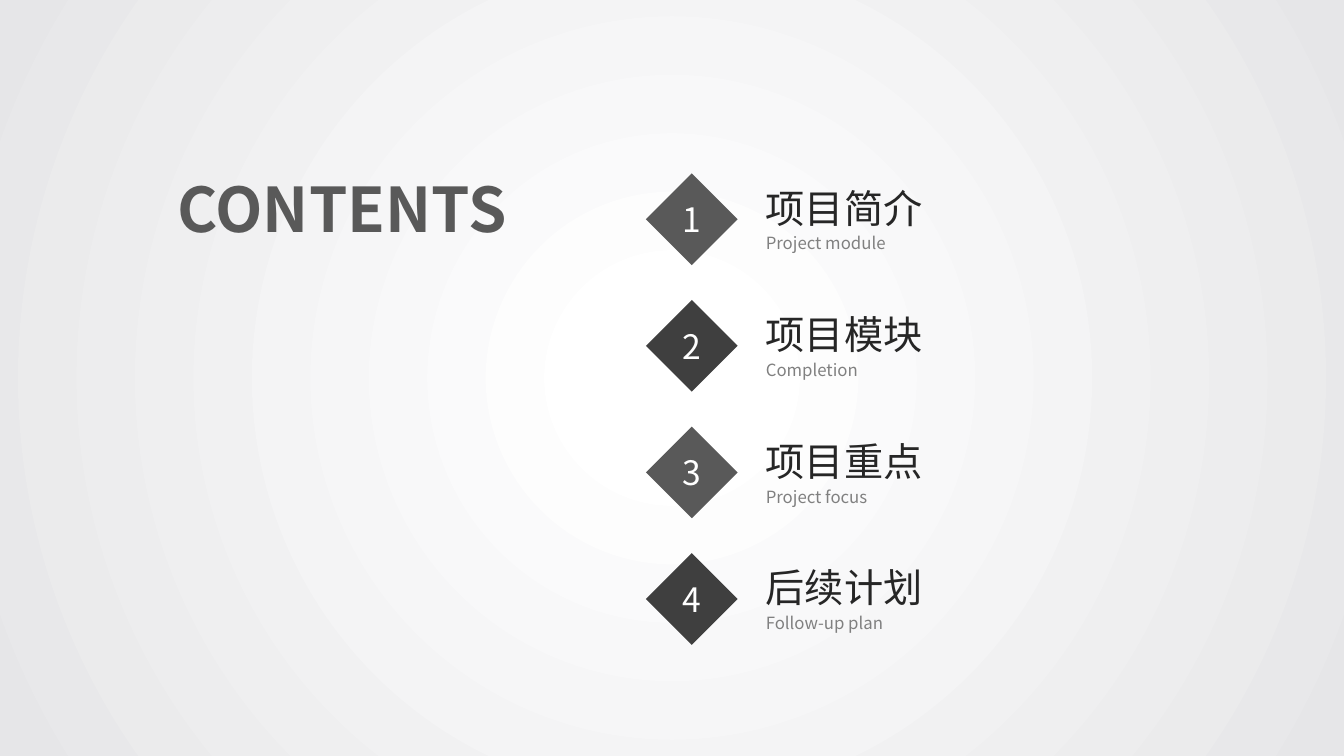
import pptx
import pptx.dml.color
import pptx.enum.shapes
import pptx.enum.text
import pptx.oxml
import pptx.oxml.ns
import pptx.util
from lxml import etree

Cm = pptx.util.Cm
Align = pptx.enum.text.PP_ALIGN
Anchor = pptx.enum.text.MSO_ANCHOR
AutoSize = pptx.enum.text.MSO_AUTO_SIZE

FONT = "Noto Sans CJK SC"
COLOURS = {
    "centre": "FFFFFF",
    "edge": "E6E6E8",
    "grey": "595959",
    "dark": "3F3F3F",
    "number": "FFFFFF",
    "heading": "262626",
    "caption": "808080",
}
FORMATS = {
    "title": {"size": pptx.util.Pt(44), "bold": True},
    "number": {"size": pptx.util.Pt(24)},
    "heading": {"size": pptx.util.Pt(28)},
    "caption": {"size": pptx.util.Pt(12)},
}
SECTIONS = [
    ("项目简介", "Project module"),
    ("项目模块", "Completion"),
    ("项目重点", "Project focus"),
    ("后续计划", "Follow-up plan"),
]
FIRST_TOP, PITCH = 4.37, 3.19
DIAMOND_LEFT, DIAMOND_SIZE = 16.28, 2.31
TEXT_LEFT = 19.05


def rgb(name):
    return pptx.dml.color.RGBColor.from_string(COLOURS[name])


def write_text(shape, text, style, colour, alignment, anchor=Anchor.TOP,
               auto_size=AutoSize.SHAPE_TO_FIT_TEXT):
    frame = shape.text_frame
    frame.word_wrap = True
    frame.auto_size = auto_size
    frame.vertical_anchor = anchor
    paragraph = frame.paragraphs[0]
    paragraph.alignment = alignment
    run = paragraph.add_run()
    run.text = text
    run.font.name = FONT
    run.font.color.rgb = rgb(colour)
    for attribute, value in FORMATS[style].items():
        setattr(run.font, attribute, value)
    properties = run._r.get_or_add_rPr()
    etree.SubElement(properties, pptx.oxml.ns.qn("a:ea"), typeface=FONT)
    return paragraph


presentation = pptx.Presentation()
presentation.slide_width = Cm(33.87)
presentation.slide_height = Cm(19.05)
slide = presentation.slides.add_slide(presentation.slide_layouts.get_by_name("Title Only"))

# Radial background, white at the centre
background = slide.background.fill
background.gradient()
for stop, position, name in zip(background.gradient_stops, (0.09, 1), ("centre", "edge")):
    stop.position = position
    stop.color.rgb = rgb(name)
linear = next(slide.element.iter(pptx.oxml.ns.qn("a:lin")))
radial = pptx.oxml.parse_xml(
    f'<a:path {pptx.oxml.ns.nsdecls("a")} path="circle">'
    '<a:fillToRect l="50000" t="50000" r="50000" b="50000"/></a:path>'
)
linear.getparent().replace(linear, radial)

# Title
title = slide.shapes.title
title.left, title.top, title.width, title.height = Cm(4.22), Cm(4.17), Cm(9.32), Cm(2.13)
write_text(title, "CONTENTS", "title", "grey", Align.LEFT)

# Numbered sections
for index, (heading, caption) in enumerate(SECTIONS):
    top = FIRST_TOP + index * PITCH
    section = slide.shapes.add_group_shape().shapes

    diamond = section.add_shape(
        pptx.enum.shapes.MSO_SHAPE.DIAMOND,
        Cm(DIAMOND_LEFT), Cm(top), Cm(DIAMOND_SIZE), Cm(DIAMOND_SIZE),
    )
    diamond.shadow.inherit = False
    diamond.fill.solid()
    diamond.fill.fore_color.rgb = rgb("dark" if index % 2 else "grey")
    diamond.line.fill.background()
    write_text(diamond, str(index + 1), "number", "number", Align.CENTER,
               Anchor.MIDDLE, AutoSize.NONE)

    heading_box = section.add_textbox(Cm(TEXT_LEFT), Cm(top + 0.14), Cm(6.65), Cm(1.45))
    write_text(heading_box, heading, "heading", "heading", Align.JUSTIFY)

    caption_box = section.add_textbox(Cm(TEXT_LEFT), Cm(top + 1.31), Cm(9.6), Cm(0.85))
    paragraph = write_text(caption_box, caption, "caption", "caption", Align.LEFT)
    paragraph.line_spacing = 1.14

presentation.save("out.pptx")
